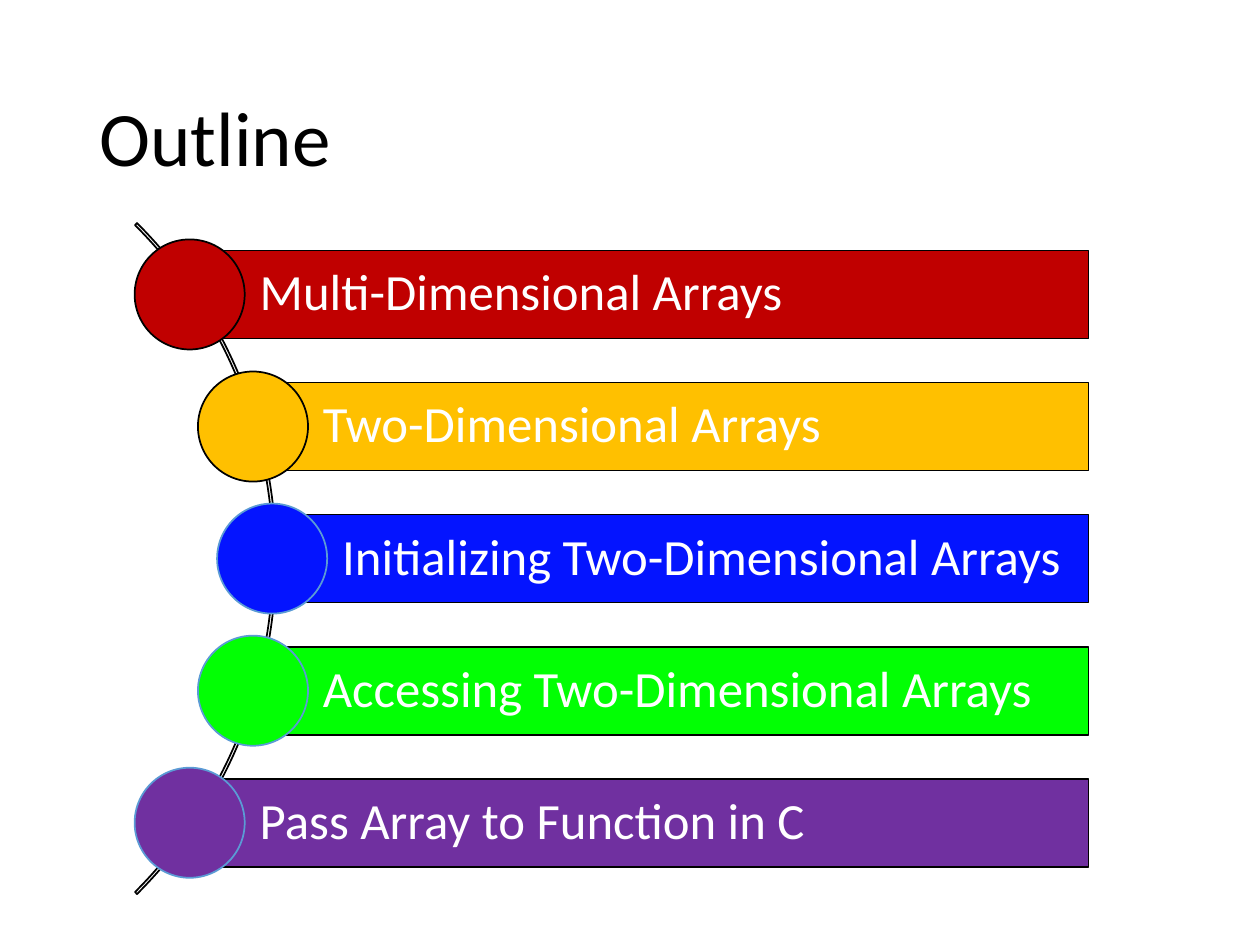
from dataclasses import dataclass
from math import sqrt

from pptx import Presentation
from pptx.dml.color import RGBColor
from pptx.enum.shapes import MSO_SHAPE
from pptx.enum.text import MSO_ANCHOR, PP_ALIGN
from pptx.util import Pt

ARC, BAR, CIRCLE = MSO_SHAPE.BLOCK_ARC, MSO_SHAPE.RECTANGLE, MSO_SHAPE.OVAL
MIDDLE, LEFT = MSO_ANCHOR.MIDDLE, PP_ALIGN.LEFT
TITLE_ONLY = 5


@dataclass(frozen=True)
class Theme:
    """Colours, font and type sizes of the slide."""
    font: str = "Calibri"
    title_size: int = 44
    topic_size: int = 29
    ink: str = "000000"
    paper: str = "FFFFFF"
    accent: str = "5B9BD5"
    red: str = "C00000"
    amber: str = "FFC000"
    blue: str = "0414FF"
    green: str = "02FF04"
    purple: str = "7030A0"


THEME = Theme()
TITLE_BOX = (49.7, 28.8, 620.6, 104.4)
OUTLINE_BOX = (77, 136.8, 545, 364.8)
TOPICS = [
    ("Multi-Dimensional Arrays", THEME.red, THEME.ink),
    ("Two-Dimensional Arrays", THEME.amber, THEME.ink),
    ("Initializing Two-Dimensional Arrays", THEME.blue, THEME.accent),
    ("Accessing Two-Dimensional Arrays", THEME.green, THEME.accent),
    ("Pass Array to Function in C", THEME.purple, THEME.accent),
]


def set_values(target, values):
    """Set each named attribute of the target."""
    for name, value in values.items():
        setattr(target, name, value)


def write_text(shape, text, size, color, frame_format):
    """Write one left-aligned paragraph into the shape."""
    frame = shape.text_frame
    set_values(frame, {"word_wrap": True, "vertical_anchor": MIDDLE, **frame_format})
    paragraph = frame.paragraphs[0]
    paragraph.text = text
    set_values(paragraph, {"alignment": LEFT, "line_spacing": 0.9})
    font = paragraph.runs[0].font
    set_values(font, {"name": THEME.font, "size": Pt(size)})
    font.color.rgb = RGBColor.from_string(color)


def add_outlined(slide, kind, box, line, fill=None):
    """Add a preset shape with a thin line and an optional fill."""
    shape = slide.shapes.add_shape(kind, *(Pt(length) for length in box))
    shape.shadow.inherit = False
    shape.line.color.rgb = RGBColor.from_string(line)
    shape.line.width = Pt(1)
    if fill:
        shape.fill.solid()
        shape.fill.fore_color.rgb = RGBColor.from_string(fill)
    else:
        shape.fill.background()
    return shape


def place_title(slide, box, text):
    """Move the title placeholder into the box and format it."""
    title = slide.shapes.title
    names = ("left", "top", "width", "height")
    set_values(title, dict(zip(names, map(Pt, box))))
    write_text(title, text, THEME.title_size, THEME.ink, {})


def add_arc(slide, apex, middle):
    """Add the thin quarter arc that bulges right to the apex."""
    diameter = 542.2
    box = (apex - diameter, middle - diameter / 2, diameter, diameter)
    arc = add_outlined(slide, ARC, box, THEME.ink)
    for index, value in enumerate((189, 27, 0.003)):
        arc.adjustments[index] = value


def add_topic(slide, box, topic):
    """Add a labelled bar with a circle centred on its left end."""
    left, top, width, height = box
    text, fill, circle_line = topic
    bar = add_outlined(slide, BAR, box, THEME.ink, fill)
    margins = {f"margin_{side}": Pt(5.8) for side in ("top", "right", "bottom")}
    write_text(bar, text, THEME.topic_size, THEME.paper,
               {**margins, "margin_left": Pt(40)})
    diameter = height / 0.8
    circle_box = (left - diameter / 2, top + (height - diameter) / 2, diameter, diameter)
    add_outlined(slide, CIRCLE, circle_box, circle_line, fill)


def add_outline(slide, box, topics):
    """Place equally spaced topics along an arc within the box."""
    left, top, width, height = box
    diameter = height / (1.2 * len(topics) - 0.2)
    pitch, bar_height = 1.2 * diameter, 0.8 * diameter
    middle, apex, radius = top + height / 2, left + 78.5, 265.4
    add_arc(slide, apex + 2.2, middle)
    for index, topic in enumerate(topics):
        offset = (index - (len(topics) - 1) / 2) * pitch
        bar_left = apex - radius + sqrt(radius ** 2 - offset ** 2)
        bar_top = middle + offset - bar_height / 2
        add_topic(slide, (bar_left, bar_top, left + width - bar_left, bar_height), topic)


def main():
    """Build and save the outline slide."""
    presentation = Presentation()
    set_values(presentation, {"slide_width": Pt(720), "slide_height": Pt(540)})
    slide = presentation.slides.add_slide(presentation.slide_layouts[TITLE_ONLY])
    place_title(slide, TITLE_BOX, "Outline")
    add_outline(slide, OUTLINE_BOX, TOPICS)
    presentation.save("out.pptx")


if __name__ == "__main__":
    main()
